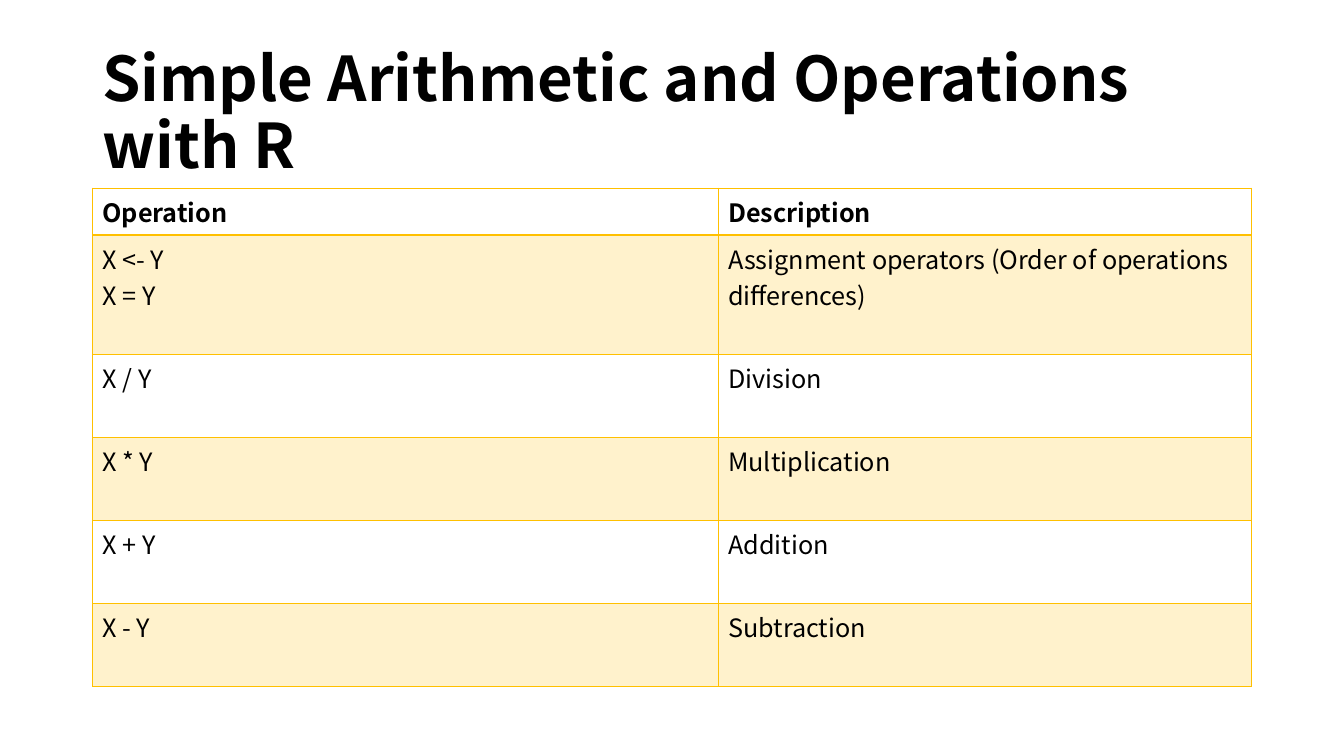
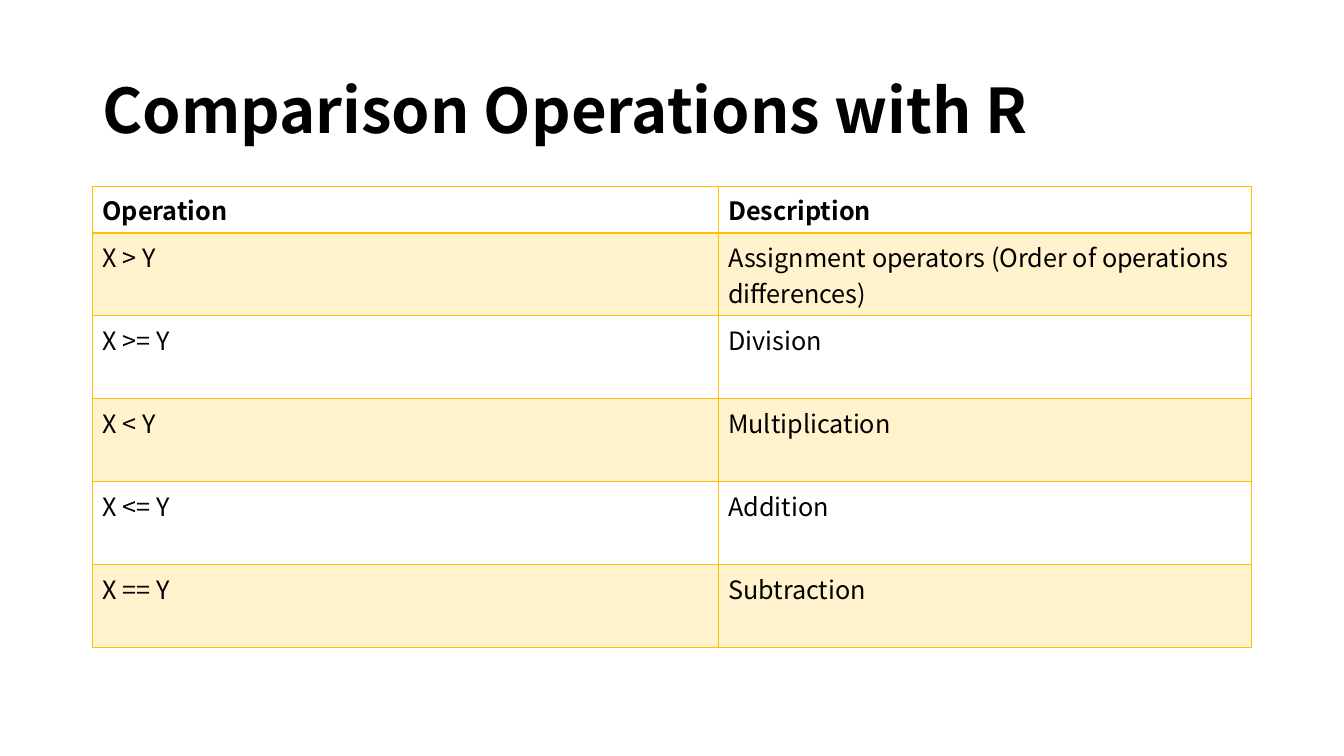
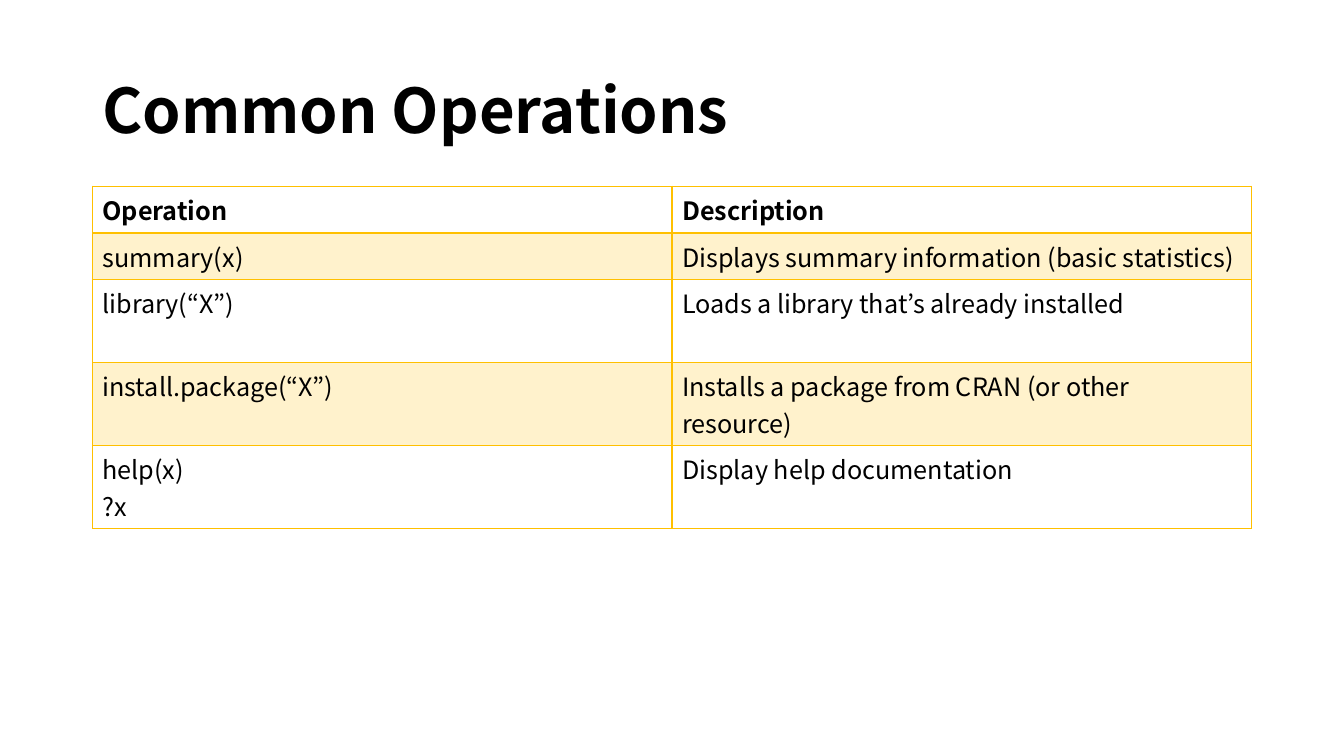
from lxml import etree
from pptx import Presentation
from pptx.dml.color import RGBColor
from pptx.enum.text import MSO_ANCHOR
from pptx.oxml.ns import qn
from pptx.util import Pt

MIDDLE = MSO_ANCHOR.MIDDLE
FONT = "Noto Sans CJK JP"
HUES = {"ink": "000000", "gold": "FFC000"}
LEFT, WIDTH, HEAD = 66, 828, 104.5
LINE, PAD = 26.06, 7.2

DECK = [
    ("Simple Arithmetic and Operations with R", 30, 447, [
        ("X <- Y\nX = Y", "Assignment operators (Order of operations differences)", 3),
        ("X / Y", "Division", 2),
        ("X * Y", "Multiplication", 2),
        ("X + Y", "Addition", 2),
        ("X - Y", "Subtraction", 2),
    ]),
    ("Comparison Operations with R", 28.5, 447, [
        ("X > Y", "Assignment operators (Order of operations differences)", 2),
        ("X >= Y", "Division", 2),
        ("X < Y", "Multiplication", 2),
        ("X <= Y", "Addition", 2),
        ("X == Y", "Subtraction", 2),
    ]),
    ("Common Operations", 28.5, 414, [
        ("summary(x)", "Displays summary information (basic statistics)", 1),
        ("library(“X”)", "Loads a library that’s already installed", 2),
        ("install.package(“X”)", "Installs a package from CRAN (or other resource)", 2),
        ("help(x)\n?x", "Display help documentation", 2),
    ]),
]


def write(frame, text, size=18, bold=False, space=None):
    frame.word_wrap = True
    for num, line in enumerate(text.split("\n")):
        para = frame.add_paragraph() if num else frame.paragraphs[0]
        para.line_spacing = space
        run = para.add_run()
        run.text = line
        font = run.font
        font.name, font.size, font.bold = FONT, Pt(size), bold
        font.color.rgb = RGBColor.from_string(HUES["ink"])


def title(slide, text, left, top, width, height):
    box = slide.shapes.add_textbox(Pt(left), Pt(top), Pt(width), Pt(height))
    box.text_frame.vertical_anchor = MIDDLE
    write(box.text_frame, text, size=44, bold=True, space=0.9)


def tint(cell, shade):
    if not shade:
        cell.fill.background()
        return
    cell.fill.solid()
    cell.fill.fore_color.rgb = RGBColor.from_string(HUES["gold"])
    hue = cell._tc.tcPr.find(".//" + qn("a:srgbClr"))
    etree.SubElement(hue, qn("a:alpha"), val="20000")


def border(cell, top, base):
    edges = [("L", 1), ("R", 1), ("T", top), ("B", base)]
    for spot, (side, wide) in enumerate(edges):
        line = etree.Element(qn("a:ln" + side), w=str(Pt(wide)))
        fill = etree.SubElement(line, qn("a:solidFill"))
        etree.SubElement(fill, qn("a:srgbClr"), val=HUES["gold"])
        cell._tc.tcPr.insert(spot, line)


def table(slide, rows, left, top, width, split):
    rows = [("Operation", "Description", 1)] + rows
    tall = [PAD + LINE * row[2] for row in rows]
    grid = slide.shapes.add_table(
        len(rows), 2, Pt(left), Pt(top), Pt(width), Pt(sum(tall))).table
    grid.horz_banding = False
    for col, wide in zip(grid.columns, (split, width - split)):
        col.width = Pt(wide)
    for num, row in enumerate(rows):
        grid.rows[num].height = Pt(tall[num])
        for side in range(2):
            cell = grid.cell(num, side)
            write(cell.text_frame, row[side], bold=num == 0)
            tint(cell, num % 2)
            border(cell, 2 if num == 1 else 1, 2 if num == 0 else 1)


def main():
    deck = Presentation()
    deck.slide_width, deck.slide_height = Pt(960), Pt(540)
    for text, top, split, rows in DECK:
        slide = deck.slides.add_slide(deck.slide_layouts[6])
        title(slide, text, LEFT, top, WIDTH, HEAD)
        table(slide, rows, LEFT, top + HEAD, WIDTH, split)
    deck.save("out.pptx")


if __name__ == "__main__":
    main()
